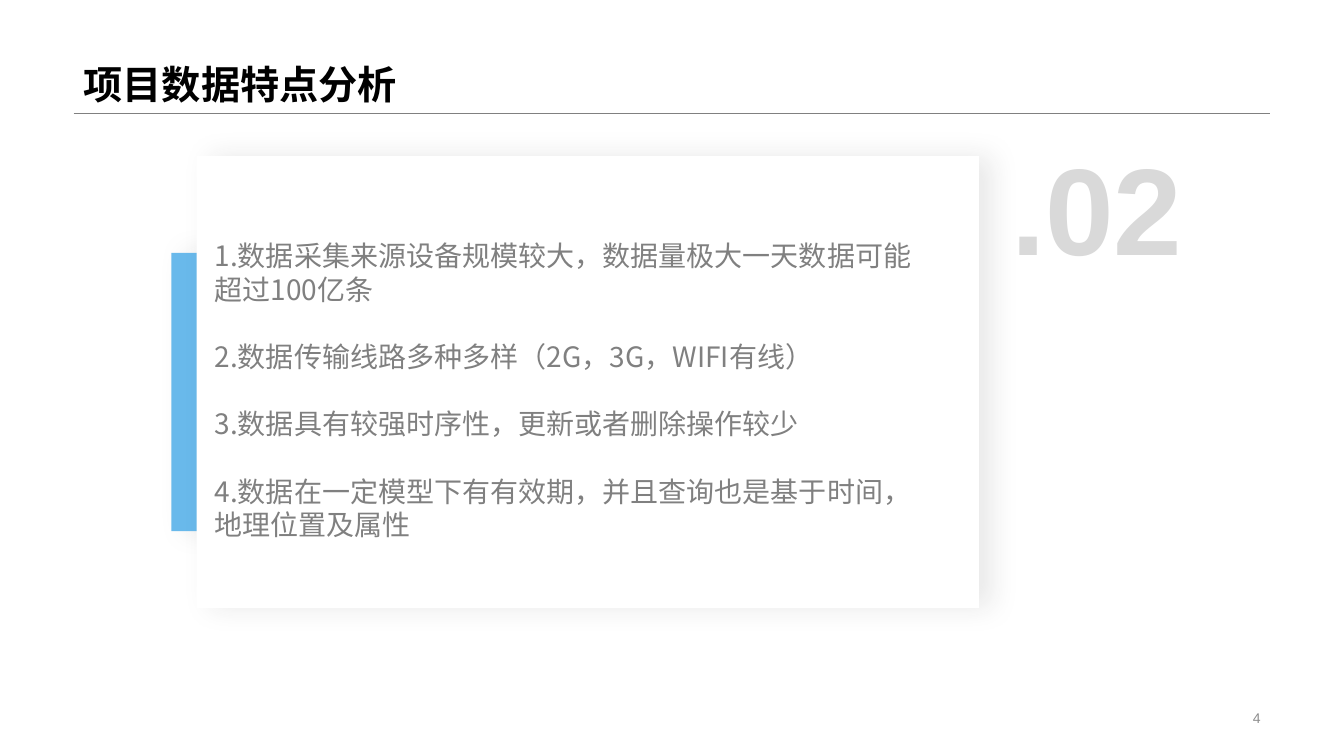
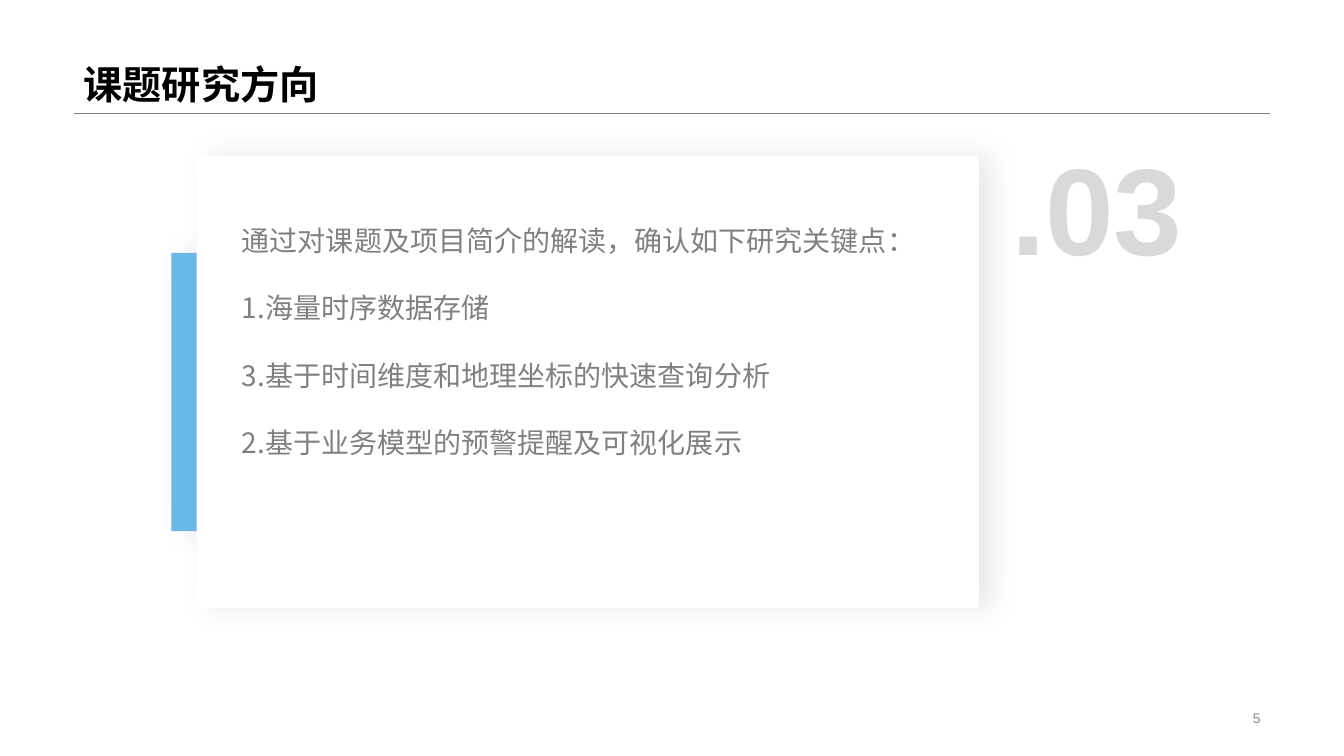
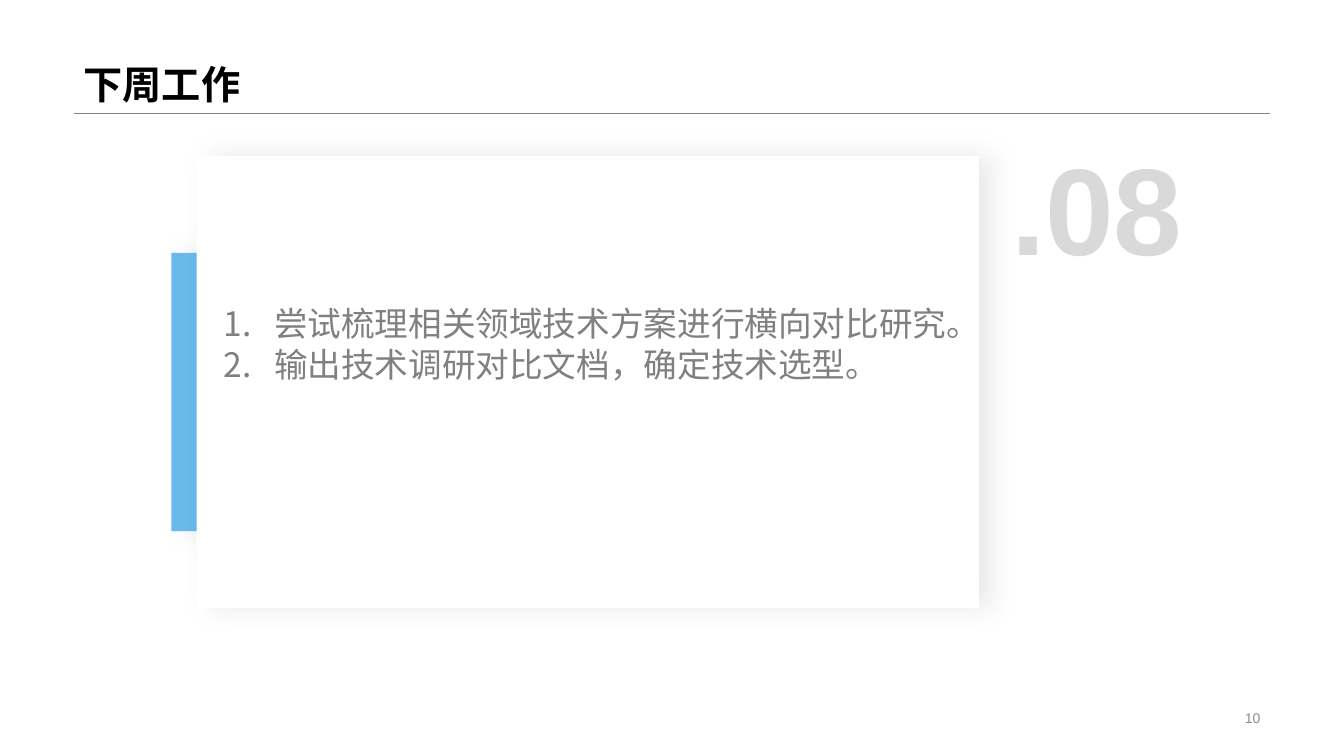
from dataclasses import dataclass

from lxml.etree import SubElement
from pptx import Presentation
from pptx.dml.color import RGBColor as Rgb
from pptx.enum.shapes import MSO_CONNECTOR as Link, MSO_SHAPE as Form
from pptx.enum.text import MSO_ANCHOR as Anchor, PP_ALIGN as Align
from pptx.oxml.ns import qn
from pptx.util import Emu, Pt

PX = 9144


@dataclass(frozen=True)
class Theme:
    black: str = "000000"
    rule: str = "808080"
    body: str = "808080"
    foot: str = "8C8C8C"
    mark: str = "D9D9D9"
    blue: str = "69B9EB"
    white: str = "FFFFFF"
    shade: str = "262626"
    latin: str = "Arial"
    hans: str = "Noto Sans CJK SC"
    head: int = 28
    note: int = 10
    big: int = 88
    lead: float = 1.2


T = Theme()

HEAD = (73, 0, 1187, 112)
FOOT = (942, 701, 318, 23)
BAR = (170, 251, 38, 276)
CARD = (195, 155, 776, 448)
MARK = (993, 126, 192, 158)

PAGES = [
    dict(title="项目数据特点分析", mark=".02", page="4",
         box=(203, 232, 738, 313), size=20, gap=24, auto=True, hang=0,
         lines=["数据采集来源设备规模较大，数据量极大一天数据可能超过100亿条",
                "数据传输线路多种多样（2G，3G，WIFI有线）",
                "数据具有较强时序性，更新或者删除操作较少",
                "数据在一定模型下有有效期，并且查询也是基于时间，地理位置及属性"]),
    dict(title="课题研究方向", mark=".03", page="5",
         box=(230, 217, 692, 246), size=20, gap=24, auto=False, hang=0,
         lines=["通过对课题及项目简介的解读，确认如下研究关键点：",
                "1.海量时序数据存储",
                "3.基于时间维度和地理坐标的快速查询分析",
                "2.基于业务模型的预警提醒及可视化展示"]),
    dict(title="下周工作", mark=".08", page="10",
         box=(212, 296, 742, 91), size=24, gap=0, auto=True, hang=50,
         lines=["尝试梳理相关领域技术方案进行横向对比研究。",
                "输出技术调研对比文档，确定技术选型。"]),
]


def emu(box):
    return [Emu(n * PX) for n in box]


def style(par, size, color, face=T.latin, bold=False):
    for run in par.runs:
        font = run.font
        font.name, font.size, font.bold = face, Pt(size), bold
        font.color.rgb = Rgb.from_string(color)
        east = SubElement(run._r.get_or_add_rPr(), qn("a:ea"))
        east.set("typeface", T.hans)


def label(slide, box, text, size, color, bold=False, wrap=True):
    frame = slide.shapes.add_textbox(*emu(box)).text_frame
    frame.word_wrap = wrap
    frame.text = text
    for par in frame.paragraphs:
        style(par, size, color, bold=bold)
    return frame


def panel(slide, box, color):
    shape = slide.shapes.add_shape(Form.RECTANGLE, *emu(box))
    shape.fill.solid()
    shape.fill.fore_color.rgb = Rgb.from_string(color)
    shape.line.fill.background()
    shape.shadow.inherit = False
    glow = SubElement(shape._element.spPr.find(qn("a:effectLst")),
                      qn("a:outerShdw"), blurRad=str(Pt(20)),
                      dist=str(Pt(10)), dir="0", algn="l", rotWithShape="0")
    tint = SubElement(glow, qn("a:srgbClr"), val=T.shade)
    SubElement(tint, qn("a:alpha"), val="10000")


def header(slide, text):
    left, top, wide, high = emu(HEAD)
    base = top + high
    rule = slide.shapes.add_connector(Link.STRAIGHT, left, base,
                                      left + wide, base)
    rule.line.color.rgb = Rgb.from_string(T.rule)
    rule.line.width = Pt(0.25)
    SubElement(rule._element.spPr, qn("a:effectLst"))
    title = slide.shapes.title
    title.left, title.top, title.width, title.height = left, top, wide, high
    frame = title.text_frame
    frame.text = text
    frame.vertical_anchor = Anchor.BOTTOM
    par = frame.paragraphs[0]
    par.alignment = Align.LEFT
    par.line_spacing = 0.9
    style(par, T.head, T.black, bold=True)


def footer(slide, text):
    frame = label(slide, FOOT, text, T.note, T.foot)
    frame.vertical_anchor = Anchor.MIDDLE
    frame.paragraphs[0].alignment = Align.RIGHT


def body(slide, page):
    frame = slide.shapes.add_textbox(*emu(page["box"])).text_frame
    frame.word_wrap = True
    frame.text = "\n".join(page["lines"])
    hang = page["hang"] * PX
    for spot, par in enumerate(frame.paragraphs):
        par.line_spacing = Pt(page["size"] * T.lead)
        par.space_before = Pt(page["gap"] if spot else 0)
        style(par, page["size"], T.body, T.hans)
        if page["auto"]:
            prop = par._p.get_or_add_pPr()
            prop.set("marL", str(hang))
            prop.set("indent", str(-hang))
            SubElement(prop, qn("a:buFont"), typeface=T.hans)
            SubElement(prop, qn("a:buAutoNum"), type="arabicPeriod")


def build(deck, page):
    slide = deck.slides.add_slide(deck.slide_layouts[5])
    header(slide, page["title"])
    footer(slide, page["page"])
    panel(slide, BAR, T.blue)
    panel(slide, CARD, T.white)
    body(slide, page)
    label(slide, MARK, page["mark"], T.big, T.mark, bold=True, wrap=False)


def main():
    deck = Presentation()
    deck.slide_width, deck.slide_height = emu((1333, 750))
    for page in PAGES:
        build(deck, page)
    deck.save("out.pptx")


if __name__ == "__main__":
    main()
